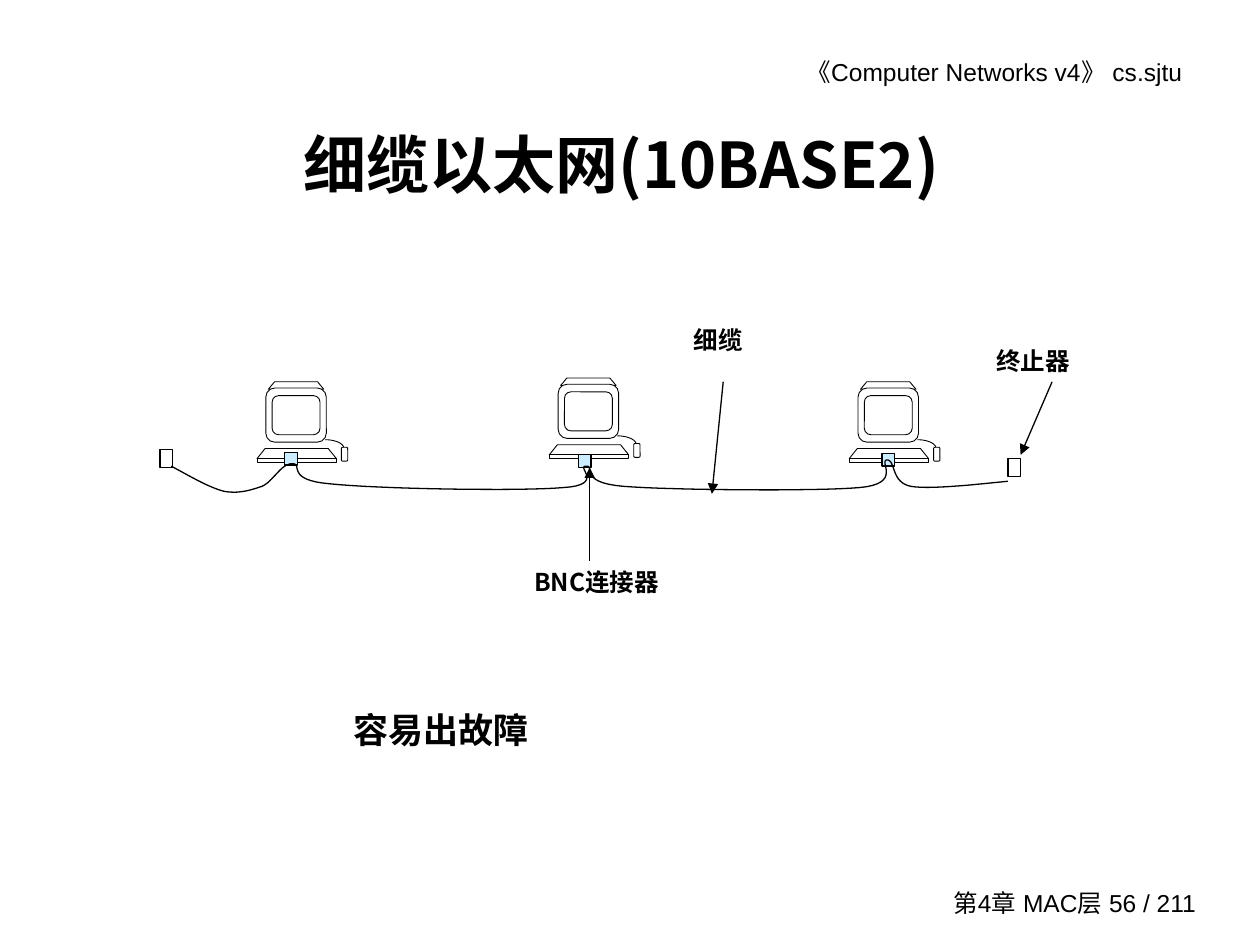
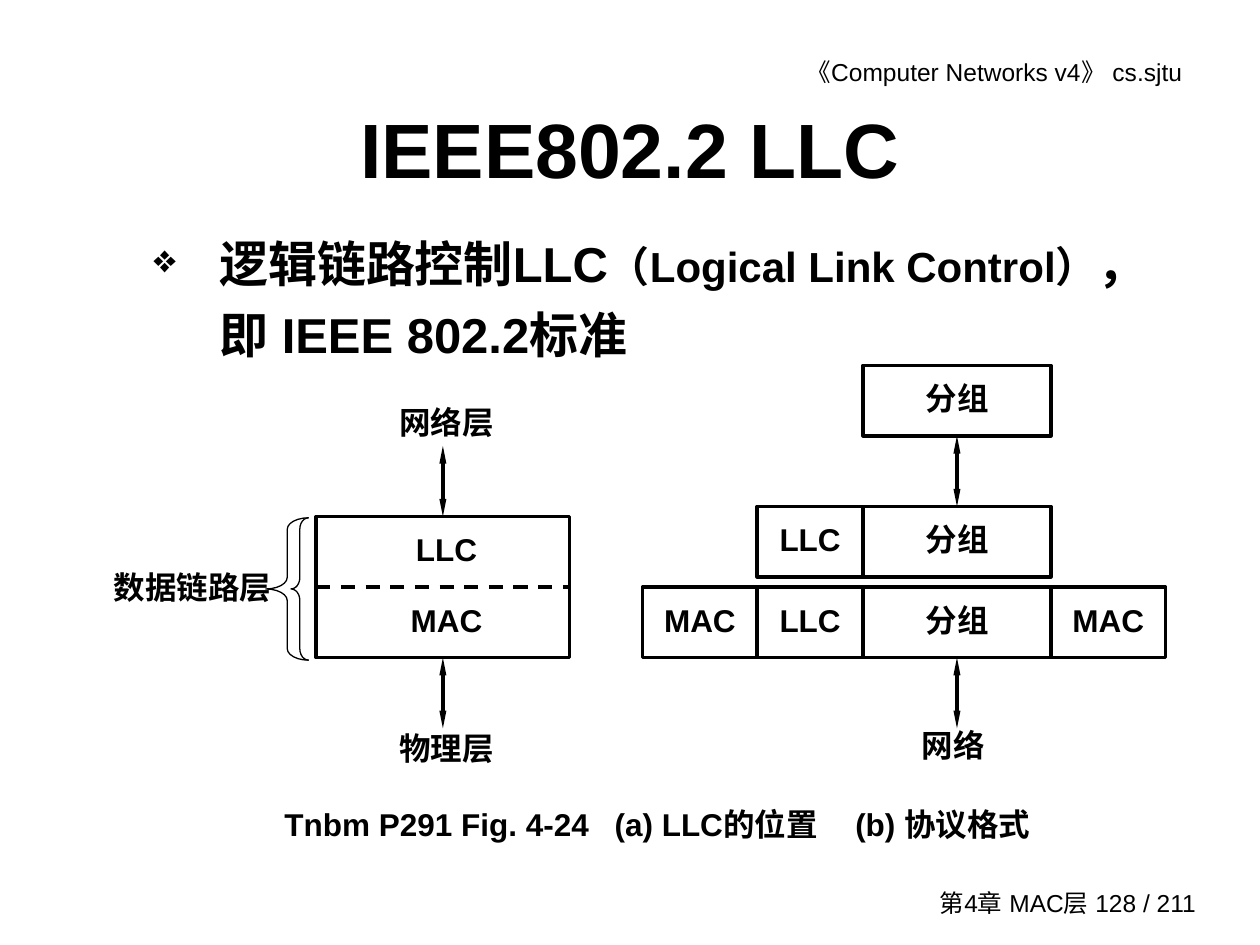
from dataclasses import dataclass
from typing import NamedTuple, Optional, Sequence

from lxml.etree import SubElement
from pptx import Presentation
from pptx.dml.color import RGBColor
from pptx.enum.dml import MSO_LINE
from pptx.enum.shapes import MSO_CONNECTOR, MSO_SHAPE
from pptx.enum.text import MSO_ANCHOR, PP_ALIGN
from pptx.oxml.ns import qn
from pptx.shapes.autoshape import Shape
from pptx.shapes.connector import Connector
from pptx.slide import Slide
from pptx.util import Inches, Pt


@dataclass(frozen=True)
class Theme:
    ink: RGBColor = RGBColor(0, 0, 0)
    paper: RGBColor = RGBColor(255, 255, 255)
    socket: RGBColor = RGBColor(0xCC, 0xEC, 0xFF)
    latin: str = "Arial"
    chinese: str = "Noto Sans CJK SC"
    small: int = 14
    label: int = 18
    remark: int = 20
    inline: int = 24
    body: int = 28
    chinese_title: int = 36
    latin_title: int = 44
    hairline: float = 0.5
    thin: float = 0.75
    thick: float = 2


THEME = Theme()
TOP, LEFT, BOTTOM, RIGHT = range(4)


class Box(NamedTuple):
    left: float
    top: float
    width: float
    height: float

    def emu(self) -> list[int]:
        return [Inches(length) for length in self]


class Point(NamedTuple):
    x: float
    y: float


class Part(NamedTuple):
    kind: MSO_SHAPE
    box: Box
    corner: Optional[float] = None


class Caption(NamedTuple):
    text: str
    box: Box
    size: int = THEME.small
    font: str = THEME.latin
    align: PP_ALIGN = PP_ALIGN.LEFT
    spacing: float = 1.0
    bold: bool = True


class Arrow(NamedTuple):
    start: Point
    end: Point


COMPUTER = [
    Part(MSO_SHAPE.ROUNDED_RECTANGLE, Box(0.67, 0.52, 0.05, 0.11), 0.2),
    Part(MSO_SHAPE.TRAPEZOID, Box(0, 0.53, 0.63, 0.08), 0.8),
    Part(MSO_SHAPE.RECTANGLE, Box(0, 0.61, 0.63, 0.03)),
    Part(MSO_SHAPE.TRAPEZOID, Box(0.09, 0, 0.44, 0.06), 0.83),
    Part(MSO_SHAPE.ROUNDED_RECTANGLE, Box(0.07, 0.05, 0.48, 0.43), 0.165),
    Part(MSO_SHAPE.ROUNDED_RECTANGLE, Box(0.12, 0.11, 0.38, 0.31), 0.165),
]
MOUSE_CORD = [(0.54, 0.46), (0.62, 0.46), (0.69, 0.49), (0.69, 0.53)]
COMPUTERS = [Point(2.04, 3.03), Point(4.36, 3.0), Point(6.74, 3.03)]
BNC_SOCKETS = [Point(2.26, 3.59), Point(7, 3.6), Point(4.59, 3.61)]
TERMINATORS = [Point(1.27, 3.57), Point(8, 3.64)]
THIN_CABLE = [
    (1.36, 3.7), (1.51, 3.78), (1.66, 3.87), (1.78, 3.9),
    (1.9, 3.92), (1.99, 3.89), (2.08, 3.86),
    (2.17, 3.82), (2.23, 3.68), (2.32, 3.68),
    (2.41, 3.68), (2.26, 3.81), (2.62, 3.84),
    (2.98, 3.88), (4.13, 3.9), (4.47, 3.87),
    (4.81, 3.85), (4.57, 3.7), (4.65, 3.7),
    (4.73, 3.69), (4.58, 3.83), (4.95, 3.86),
    (5.31, 3.89), (6.48, 3.9), (6.82, 3.87),
    (7.17, 3.84), (6.97, 3.66), (7.04, 3.65),
    (7.11, 3.65), (7.07, 3.83), (7.23, 3.86),
    (7.39, 3.89), (7.88, 3.83), (8, 3.82),
]
CABLE_CAPTIONS = [
    Caption("终止器", Box(7.81, 2.7, 0.86, 0.34)),
    Caption("细缆", Box(5.41, 2.53, 1.33, 0.34)),
    Caption("BNC连接器", Box(4.14, 4.45, 1.27, 0.34), font=THEME.chinese),
    Caption("容易出故障", Box(2.71, 5.56, 5.1, 0.45), THEME.remark, spacing=1.04),
]
CABLE_POINTERS = [
    Arrow(Point(8.35, 3.03), Point(8.1, 3.61)),
    Arrow(Point(5.74, 3.03), Point(5.65, 3.92)),
    Arrow(Point(4.68, 4.45), Point(4.68, 3.71)),
]

ROW = 0.56
ARROW_LENGTH = 0.56
FRAME_TOP = 4.66
STACK = Box(2.51, 4.1, 2.01, 2 * ROW)
FIELD_WIDTHS = {"MAC": 0.91, "LLC": 0.84, "分组": 1.49}
FRAME_LEFT = 5.1
LLC_LEFT = FRAME_LEFT + FIELD_WIDTHS["MAC"]
PACKET_LEFT = LLC_LEFT + FIELD_WIDTHS["LLC"]


def layer_caption(text: str, box: Box, spacing: float = 1.2) -> Caption:
    return Caption(text, box, THEME.label, align=PP_ALIGN.CENTER, spacing=spacing)


LAYER_CAPTIONS = [
    layer_caption("LLC", Box(2.96, STACK.top, 1.17, ROW)),
    layer_caption("MAC", Box(2.96, STACK.top + ROW, 1.17, ROW)),
    layer_caption("数据链路层", Box(0.75, 4.4, 1.56, 0.54)),
    layer_caption("物理层", Box(2.96, 5.62, 1.17, ROW), 1.4),
    layer_caption("网络层", Box(2.96, 3.06, 1.17, ROW), 1.3),
    layer_caption("网络", Box(7.11, 5.62, 0.91, ROW), 1.3),
]


def add_run(paragraph, text: str, size: int, font: str = THEME.latin, bold: bool = True) -> None:
    run = paragraph.add_run()
    run.text = text
    run.font.size = Pt(size)
    run.font.bold = bold
    run.font.name = font
    run.font.color.rgb = THEME.ink
    SubElement(run.font._element, qn("a:ea"), typeface=font)


def set_frame(shape: Shape, side: float = 0.1, edge: float = 0.05,
              anchor: MSO_ANCHOR = MSO_ANCHOR.TOP):
    """Set wrapping, insets and anchor; return the first paragraph."""
    frame = shape.text_frame
    frame.word_wrap = True
    frame.vertical_anchor = anchor
    frame.margin_left = frame.margin_right = Inches(side)
    frame.margin_top = frame.margin_bottom = Inches(edge)
    return frame.paragraphs[0]


def write(shape: Shape, caption: Caption, anchor: MSO_ANCHOR = MSO_ANCHOR.TOP):
    paragraph = set_frame(shape, anchor=anchor)
    paragraph.alignment = caption.align
    paragraph.line_spacing = caption.spacing
    add_run(paragraph, caption.text, caption.size, caption.font, caption.bold)
    return paragraph


def add_caption(slide: Slide, caption: Caption, anchor: MSO_ANCHOR = MSO_ANCHOR.TOP):
    return write(slide.shapes.add_textbox(*caption.box.emu()), caption, anchor)


def style_outline(shape: Shape, weight: float, fill: Optional[RGBColor] = None) -> None:
    shape.shadow.inherit = False
    shape.line.color.rgb = THEME.ink
    shape.line.width = Pt(weight)
    if fill is None:
        shape.fill.background()
    else:
        shape.fill.solid()
        shape.fill.fore_color.rgb = fill


def add_part(slide: Slide, part: Part, weight: float, fill: Optional[RGBColor] = None) -> Shape:
    shape = slide.shapes.add_shape(part.kind, *part.box.emu())
    if part.corner is not None:
        shape.adjustments[0] = part.corner
    style_outline(shape, weight, fill)
    return shape


def add_curve(slide: Slide, knots: Sequence[tuple[float, float]], weight: float) -> None:
    """Draw chained cubic curves: a start, then three points for each curve."""
    steps = 16
    points = [knots[0]]
    for first in range(0, len(knots) - 1, 3):
        corners = knots[first:first + 4]
        for step in range(1, steps + 1):
            t = step / steps
            weights = ((1 - t) ** 3, 3 * t * (1 - t) ** 2, 3 * t * t * (1 - t), t ** 3)
            points.append(tuple(sum(w * c[axis] for w, c in zip(weights, corners))
                                for axis in (0, 1)))
    start, *rest = [(Inches(x), Inches(y)) for x, y in points]
    builder = slide.shapes.build_freeform(*start)
    builder.add_line_segments(rest, close=False)
    style_outline(builder.convert_to_shape(), weight)


def add_line(slide: Slide, arrow: Arrow, weight: float, ends: Sequence[str] = (),
             width: str = "med", length: str = "med") -> Connector:
    line = slide.shapes.add_connector(
        MSO_CONNECTOR.STRAIGHT, *[Inches(value) for value in (*arrow.start, *arrow.end)])
    line.line.color.rgb = THEME.ink
    line.line.width = Pt(weight)
    for end in ends:
        SubElement(line.line._get_or_add_ln(), qn(f"a:{end}"),
                   type="triangle", w=width, len=length)
    SubElement(line._element.spPr, qn("a:effectLst"))
    return line


def add_two_way(slide: Slide, x: float, top: float) -> Connector:
    return add_line(slide, Arrow(Point(x, top), Point(x, top + ARROW_LENGTH)),
                    THEME.thick, ("headEnd", "tailEnd"), "sm", "lg")


def add_page(deck, title: str, title_box: Box, size: int, font: str, page: int) -> Slide:
    """Add a slide with its title, course line and page line."""
    slide = deck.slides.add_slide(deck.slide_layouts[5])
    heading = slide.shapes.title
    heading.left, heading.top, heading.width, heading.height = title_box.emu()
    paragraph = set_frame(heading, 0.02, 0.01, MSO_ANCHOR.MIDDLE)
    paragraph.alignment = PP_ALIGN.CENTER
    add_run(paragraph, title, size, font)
    add_caption(slide, Caption("《Computer Networks v4》 cs.sjtu", Box(4.66, 0.4, 4.82, 0.34),
                               align=PP_ALIGN.RIGHT, bold=False))
    add_caption(slide, Caption(f"第4章 MAC层 {page} / 211", Box(7.3, 7, 2.29, 0.33),
                               align=PP_ALIGN.RIGHT, bold=False), MSO_ANCHOR.MIDDLE)
    return slide


def add_computer(slide: Slide, origin: Point) -> None:
    add_curve(slide, [(origin.x + x, origin.y + y) for x, y in MOUSE_CORD], THEME.hairline)
    for part in COMPUTER:
        box = part.box._replace(left=origin.x + part.box.left, top=origin.y + part.box.top)
        add_part(slide, part._replace(box=box), THEME.hairline, THEME.paper)


def build_thin_ethernet(deck) -> None:
    slide = add_page(deck, "细缆以太网(10BASE2)", Box(0.68, 0.67, 8.5, 1.25),
                     THEME.chinese_title, THEME.chinese, 56)
    for origin in COMPUTERS:
        add_computer(slide, origin)
    for corner in BNC_SOCKETS:
        add_part(slide, Part(MSO_SHAPE.RECTANGLE, Box(*corner, 0.1, 0.1)),
                 THEME.thin, THEME.socket)
    add_curve(slide, THIN_CABLE, THEME.thin)
    for corner in TERMINATORS:
        add_part(slide, Part(MSO_SHAPE.RECTANGLE, Box(*corner, 0.1, 0.14)), THEME.thin)
    for caption in CABLE_CAPTIONS:
        add_caption(slide, caption)
    for pointer in CABLE_POINTERS:
        add_line(slide, pointer, THEME.thin, ("tailEnd",))


def add_definition(slide: Slide) -> None:
    paragraph = set_frame(slide.shapes.add_textbox(*Box(1.2, 1.75, 8.05, 1.39).emu()), 0.02, 0.01)
    paragraph.line_spacing = 1.2
    properties = paragraph._p.get_or_add_pPr()
    properties.set("marL", str(Inches(0.52)))
    properties.set("indent", str(-Inches(0.52)))
    SubElement(properties, qn("a:buSzPct"), val="80000")
    SubElement(properties, qn("a:buChar"), char="❖")
    add_run(paragraph, "逻辑链路控制LLC", THEME.body)
    add_run(paragraph, "（Logical Link Control）", THEME.inline)
    add_run(paragraph, "，即 IEEE 802.2标准", THEME.body)


def add_figure_line(slide: Slide) -> None:
    paragraph = add_caption(slide, Caption("Tnbm P291 Fig. 4-24\t(a) LLC的位置\t(b) 协议格式",
                                           Box(2.16, 6.34, 6.73, 0.56), THEME.label))
    tabs = SubElement(paragraph._p.get_or_add_pPr(), qn("a:tabLst"))
    for stop in (2.62, 4.53):
        SubElement(tabs, qn("a:tab"), pos=str(Inches(stop)), algn="l")


def add_fields(slide: Slide, fields: Sequence[str], left: float, top: float) -> dict[str, Shape]:
    """Draw adjoining frame fields and return them by name."""
    drawn = {}
    for field in fields:
        box = Box(left, top, FIELD_WIDTHS[field], ROW)
        drawn[field] = add_part(slide, Part(MSO_SHAPE.RECTANGLE, box), THEME.thick)
        write(drawn[field], layer_caption(field, box))
        left += box.width
    return drawn


def build_llc(deck) -> None:
    slide = add_page(deck, "IEEE802.2 LLC", Box(0.75, 0.67, 8.5, 1),
                     THEME.latin_title, THEME.latin, 128)
    add_definition(slide)
    add_figure_line(slide)
    for left, width, corner in ((2.31, 0.14, 0.64), (2.11, 0.34, 0.27)):
        add_part(slide, Part(MSO_SHAPE.LEFT_BRACE, Box(left, 4.11, width, 1.13), corner), THEME.thin)

    stack = add_part(slide, Part(MSO_SHAPE.RECTANGLE, STACK), THEME.thick)
    middle = STACK.top + ROW
    divider = add_line(slide, Arrow(Point(STACK.left, middle),
                                    Point(STACK.left + STACK.width, middle)), THEME.thick)
    divider.line.dash_style = MSO_LINE.DASH
    divider.begin_connect(stack, LEFT)
    divider.end_connect(stack, RIGHT)
    for caption in LAYER_CAPTIONS:
        add_caption(slide, caption)

    frame = add_fields(slide, ("MAC", "LLC", "分组"), FRAME_LEFT, FRAME_TOP)
    add_fields(slide, ("MAC",), PACKET_LEFT + FIELD_WIDTHS["分组"], FRAME_TOP)
    llc_unit = add_fields(slide, ("LLC", "分组"), LLC_LEFT, 4.02)
    packet = add_fields(slide, ("分组",), PACKET_LEFT, 2.9)

    stack_x = STACK.left + STACK.width / 2
    packet_x = PACKET_LEFT + FIELD_WIDTHS["分组"] / 2
    add_two_way(slide, stack_x, STACK.top - ARROW_LENGTH).end_connect(stack, TOP)
    add_two_way(slide, stack_x, STACK.top + STACK.height).begin_connect(stack, BOTTOM)
    add_two_way(slide, packet_x, FRAME_TOP + ROW).begin_connect(frame["分组"], BOTTOM)
    hand_over = add_two_way(slide, packet_x, 2.9 + ROW)
    hand_over.begin_connect(packet["分组"], BOTTOM)
    hand_over.end_connect(llc_unit["分组"], TOP)


def main() -> None:
    deck = Presentation()
    deck.slide_width, deck.slide_height = Inches(10), Inches(7.5)
    build_thin_ethernet(deck)
    build_llc(deck)
    deck.save("out.pptx")


if __name__ == "__main__":
    main()
